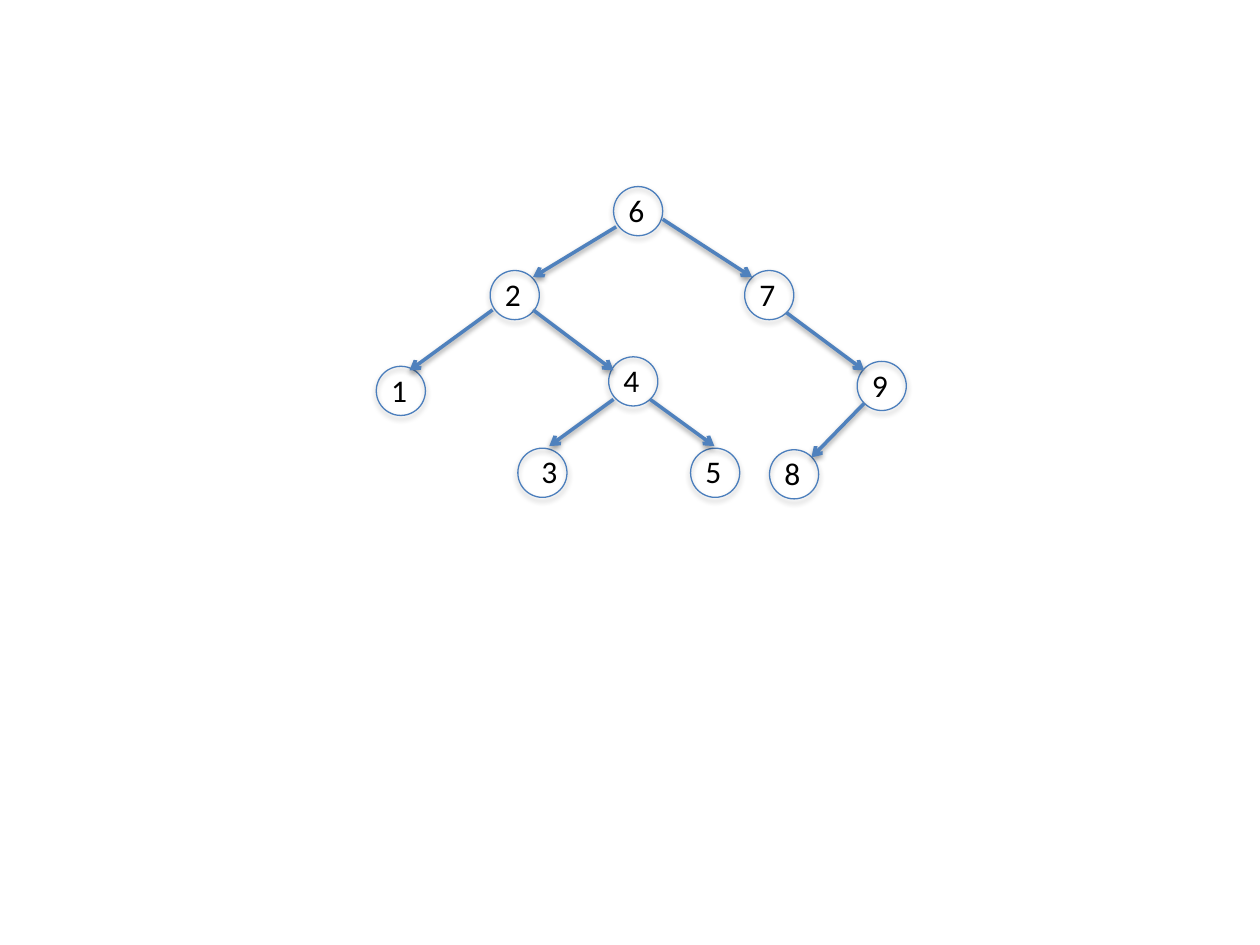
"""Draw a binary search tree of nine numbered nodes joined by arrows."""
from dataclasses import dataclass

from lxml.etree import SubElement
from pptx import Presentation
from pptx.dml.color import RGBColor as Rgb
from pptx.enum.shapes import MSO_CONNECTOR as Connector, MSO_SHAPE as Shape
from pptx.enum.text import MSO_AUTO_SIZE as AutoSize
from pptx.oxml.ns import qn
from pptx.util import Pt


@dataclass(frozen=True)
class Theme:
    ring: Rgb = Rgb(0x4B, 0x7E, 0xBC)
    edge: Rgb = Rgb(0x4F, 0x81, 0xBD)
    ink: Rgb = Rgb(0, 0, 0)
    shadow: str = "000000"
    font: str = "Calibri"
    key_size: float = 18
    ring_width: float = 0.75
    edge_width: float = 2


THEME = Theme()
DIAMETER = 28.1
KEY_OFFSET = (1.4, -1.1)
KEY_BOX = (23.8, 28.8)

NODES = [
    ("6", 350.6, 106.6), ("2", 280.1, 154.6), ("7", 425.5, 154.6),
    ("4", 347.8, 203.9), ("3", 295.9, 256.1), ("5", 394.6, 256.1),
    ("1", 215, 209.3), ("9", 489.8, 206.5), ("8", 439.7, 257),
]
KEY_SHIFTS = {"3": 5}

EDGES = [
    (352.1, 129.6, 304.6, 158.4),
    (281.5, 177.1, 234, 211.7),
    (378.7, 125.3, 429.8, 158.4),
    (493.9, 230.4, 463.7, 261.4),
    (371.5, 228.2, 408.2, 254.9),
    (304.6, 177.1, 350.6, 211.7),
    (350.6, 228.2, 313.9, 254.9),
    (449.3, 178.6, 493.9, 211.7),
]


def apply(target, **values):
    """Set every given format value on the target."""
    for name, value in values.items():
        setattr(target, name, value)


def stroke(line, color, width):
    """Give a line its colour and width."""
    line.color.rgb = color
    line.width = Pt(width)


def drop_shadow(properties, distance, opacity):
    """Add a soft shadow straight below the shape."""
    effects = SubElement(properties, qn("a:effectLst"))
    shadow = SubElement(effects, qn("a:outerShdw"), blurRad=str(Pt(3.1)),
                        dist=str(Pt(distance)), dir="5400000", rotWithShape="0")
    color = SubElement(shadow, qn("a:srgbClr"), val=THEME.shadow)
    SubElement(color, qn("a:alpha"), val=str(opacity * 1000))


def add_ring(shapes, left, top):
    """Add the unfilled circle of a node."""
    ring = shapes.add_shape(Shape.OVAL, Pt(left), Pt(top), Pt(DIAMETER), Pt(DIAMETER))
    ring.fill.background()
    stroke(ring.line, THEME.ring, THEME.ring_width)
    drop_shadow(ring.element.spPr, 1.8, 35)


def add_key(shapes, key, left, top):
    """Add the number of a node."""
    label = shapes.add_textbox(Pt(left), Pt(top), *map(Pt, KEY_BOX))
    apply(label.text_frame, word_wrap=False, auto_size=AutoSize.SHAPE_TO_FIT_TEXT)
    run = label.text_frame.paragraphs[0].add_run()
    run.text = key
    apply(run.font, name=THEME.font, size=Pt(THEME.key_size))
    run.font.color.rgb = THEME.ink


def add_node(slide, key, left, top):
    """Group the circle and number of one node."""
    node = slide.shapes.add_group_shape()
    add_ring(node.shapes, left, top)
    shift_x, shift_y = KEY_OFFSET
    add_key(node.shapes, key, left + shift_x + KEY_SHIFTS.get(key, 0), top + shift_y)


def add_edge(slide, ends):
    """Add an arrow from a parent to its child."""
    edge = slide.shapes.add_connector(Connector.STRAIGHT, *map(Pt, ends))
    stroke(edge.line, THEME.edge, THEME.edge_width)
    SubElement(edge.line._get_or_add_ln(), qn("a:tailEnd"), type="arrow")
    drop_shadow(edge.element.spPr, 1.6, 38)


def main():
    """Build and save the slide."""
    deck = Presentation()
    apply(deck, slide_width=Pt(720), slide_height=Pt(540))
    slide = deck.slides.add_slide(deck.slide_layouts.get_by_name("Blank"))
    for node in NODES:
        add_node(slide, *node)
    for ends in EDGES:
        add_edge(slide, ends)
    deck.save("out.pptx")


main()
